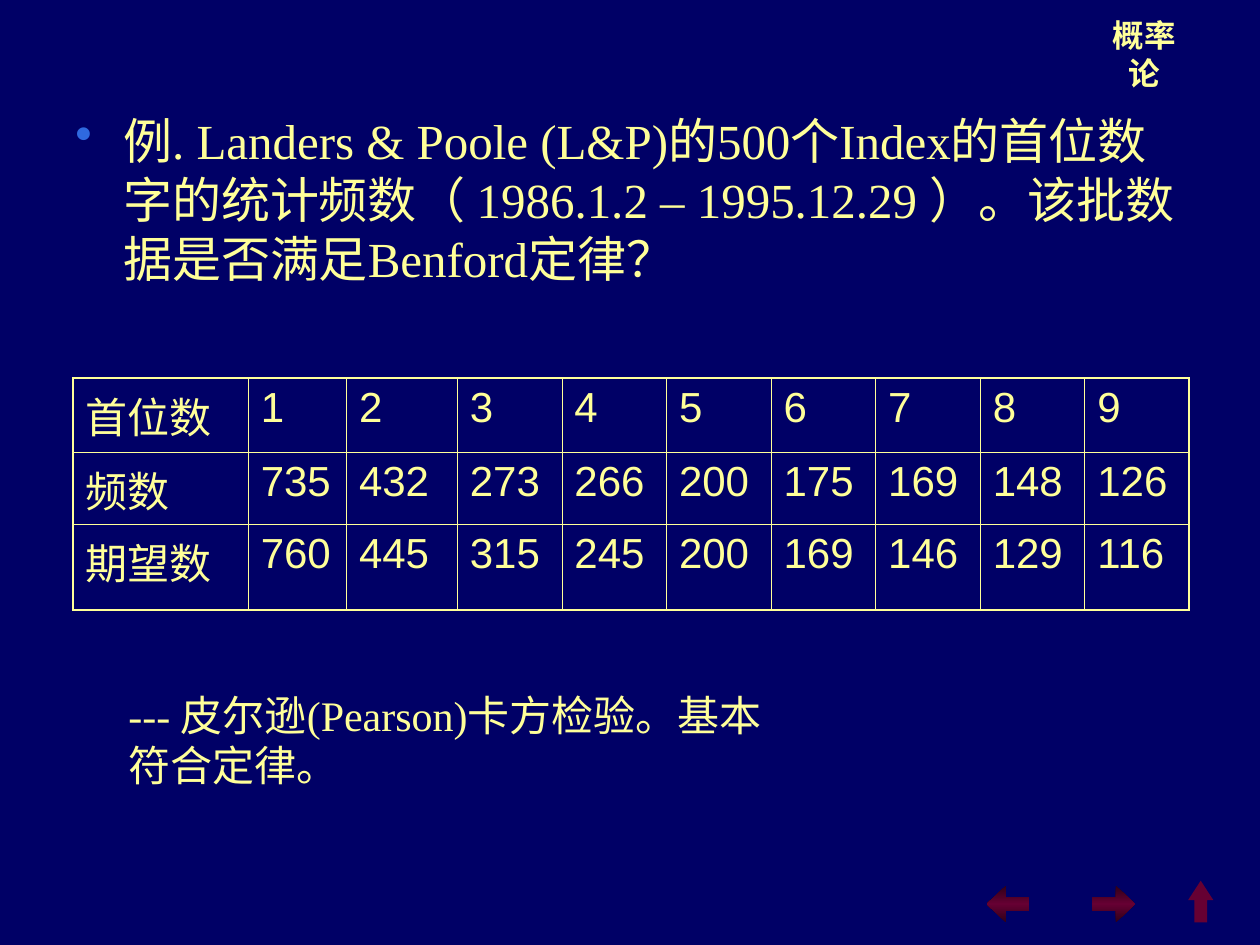
from lxml.etree import SubElement
from pptx import Presentation
from pptx.dml.color import RGBColor
from pptx.enum.shapes import MSO_SHAPE
from pptx.enum.text import MSO_ANCHOR, PP_ALIGN
from pptx.oxml import parse_xml
from pptx.oxml.ns import nsdecls, qn
from pptx.util import Inches, Pt

NAVY, CREAM, BLUE, WINE, DARK_WINE = "000066", "FFFF99", "2F69DF", "660033", "2F0018"
SERIF, SANS = "Times New Roman", "Arial"

HEADER = "概率论"
QUESTION = ("例. Landers & Poole (L&P)的500个Index的首位数字的统计频数"
            "（ 1986.1.2 – 1995.12.29 ）。该批数据是否满足Benford定律？")
CONCLUSION = "--- 皮尔逊(Pearson)卡方检验。基本符合定律。"
TABLE_ROWS = [
    ["首位数", 1, 2, 3, 4, 5, 6, 7, 8, 9],
    ["频数", 735, 432, 273, 266, 200, 175, 169, 148, 126],
    ["期望数", 760, 445, 315, 245, 200, 169, 146, 129, 116],
]
COLUMN_WIDTHS = [1.39, 0.78, 0.88] + [0.83] * 7
ROW_HEIGHTS = [0.59, 0.57, 0.68]
THIN, THICK = 0.45, 1.08

# shape, left, top, width, height, adjustments, shaded
ARROWS = [
    (MSO_SHAPE.LEFT_ARROW, 7.83, 7.03, 0.34, 0.29, (0.36, 0.53), True),
    (MSO_SHAPE.RIGHT_ARROW, 8.67, 7.03, 0.34, 0.29, (0.36, 0.53), True),
    (MSO_SHAPE.UP_ARROW, 9.43, 6.99, 0.2, 0.33, (0.5, 0.77), False),
]


def rgb(color):
    return RGBColor.from_string(color)


def write(frame, text, *, size, font=SERIF, color=CREAM, bold=False,
          align=PP_ALIGN.LEFT, bullet=None):
    paragraph = frame.paragraphs[0]
    paragraph.alignment = align
    if bullet:
        properties = paragraph._p.get_or_add_pPr()
        indent = Inches(0.38)
        properties.set("marL", str(indent))
        properties.set("indent", str(-indent))
        bullet_color = SubElement(properties, qn("a:buClr"))
        SubElement(bullet_color, qn("a:srgbClr"), val=bullet)
        SubElement(properties, qn("a:buChar"), char="•")
    run = paragraph.add_run()
    run.text = text
    run.font.size = Pt(size)
    run.font.name = font
    run.font.bold = bold
    run.font.color.rgb = rgb(color)


def add_text(slide, box, text, *, wrap=True, anchor=MSO_ANCHOR.TOP, **text_format):
    frame = slide.shapes.add_textbox(*map(Inches, box)).text_frame
    frame.word_wrap = wrap
    frame.vertical_anchor = anchor
    write(frame, text, **text_format)


def set_borders(cell, widths):
    """Draw the cell's edges; widths maps L, R, T and B to points."""
    properties = cell._tc.get_or_add_tcPr()
    for position, (side, width) in enumerate(widths.items()):
        properties.insert(position, parse_xml(
            f'<a:ln{side} {nsdecls("a")} w="{Pt(width)}"><a:solidFill>'
            f'<a:srgbClr val="{CREAM}"/></a:solidFill></a:ln{side}>'))


def add_frequency_table(slide):
    last_row, last_column = len(TABLE_ROWS) - 1, len(COLUMN_WIDTHS) - 1
    table = slide.shapes.add_table(
        len(TABLE_ROWS), len(COLUMN_WIDTHS), Inches(0.58), Inches(3),
        Inches(sum(COLUMN_WIDTHS)), Inches(sum(ROW_HEIGHTS))).table
    for column, width in zip(table.columns, COLUMN_WIDTHS):
        column.width = Inches(width)
    for row, height in zip(table.rows, ROW_HEIGHTS):
        row.height = Inches(height)
    for i, values in enumerate(TABLE_ROWS):
        for j, value in enumerate(values):
            cell = table.cell(i, j)
            cell.fill.background()
            write(cell.text_frame, str(value), size=24, font=SANS)
            outer = {"L": j == 0, "R": j == last_column, "T": i == 0, "B": i == last_row}
            set_borders(cell, {side: THICK if edge else THIN for side, edge in outer.items()})


def shade(shape):
    """Fill with wine red that darkens towards the top and bottom."""
    shape.fill.gradient()
    gradient = shape._element.spPr.find(qn("a:gradFill"))
    stops = "".join(f'<a:gs pos="{position}"><a:srgbClr val="{color}"/></a:gs>'
                    for position, color in ((0, DARK_WINE), (50000, WINE), (100000, DARK_WINE)))
    shape._element.spPr.replace(gradient, parse_xml(
        f'<a:gradFill {nsdecls("a")} rotWithShape="1"><a:gsLst>{stops}</a:gsLst>'
        '<a:lin ang="5400000" scaled="1"/></a:gradFill>'))


def add_arrow(slide, kind, left, top, width, height, adjustments, shaded):
    arrow = slide.shapes.add_shape(kind, *map(Inches, (left, top, width, height)))
    for index, value in enumerate(adjustments):
        arrow.adjustments[index] = value
    arrow.shadow.inherit = False
    arrow.line.fill.background()
    if shaded:
        shade(arrow)
    else:
        arrow.fill.solid()
        arrow.fill.fore_color.rgb = rgb(WINE)


def main():
    presentation = Presentation()
    presentation.slide_width, presentation.slide_height = Inches(10), Inches(7.5)
    slide = presentation.slides.add_slide(presentation.slide_layouts[6])
    slide.background.fill.solid()
    slide.background.fill.fore_color.rgb = rgb(NAVY)

    add_text(slide, (8.65, 0.27, 0.86, 0.31), HEADER, size=18, bold=True,
             align=PP_ALIGN.CENTER, wrap=False, anchor=MSO_ANCHOR.MIDDLE)
    for arrow in ARROWS:
        add_arrow(slide, *arrow)
    add_text(slide, (0.5, 0.83, 9, 5.87), QUESTION, size=28, bullet=BLUE)
    add_frequency_table(slide)
    add_text(slide, (0.92, 5.42, 5.42, 0.9), CONCLUSION, size=24)
    presentation.save("out.pptx")


if __name__ == "__main__":
    main()
